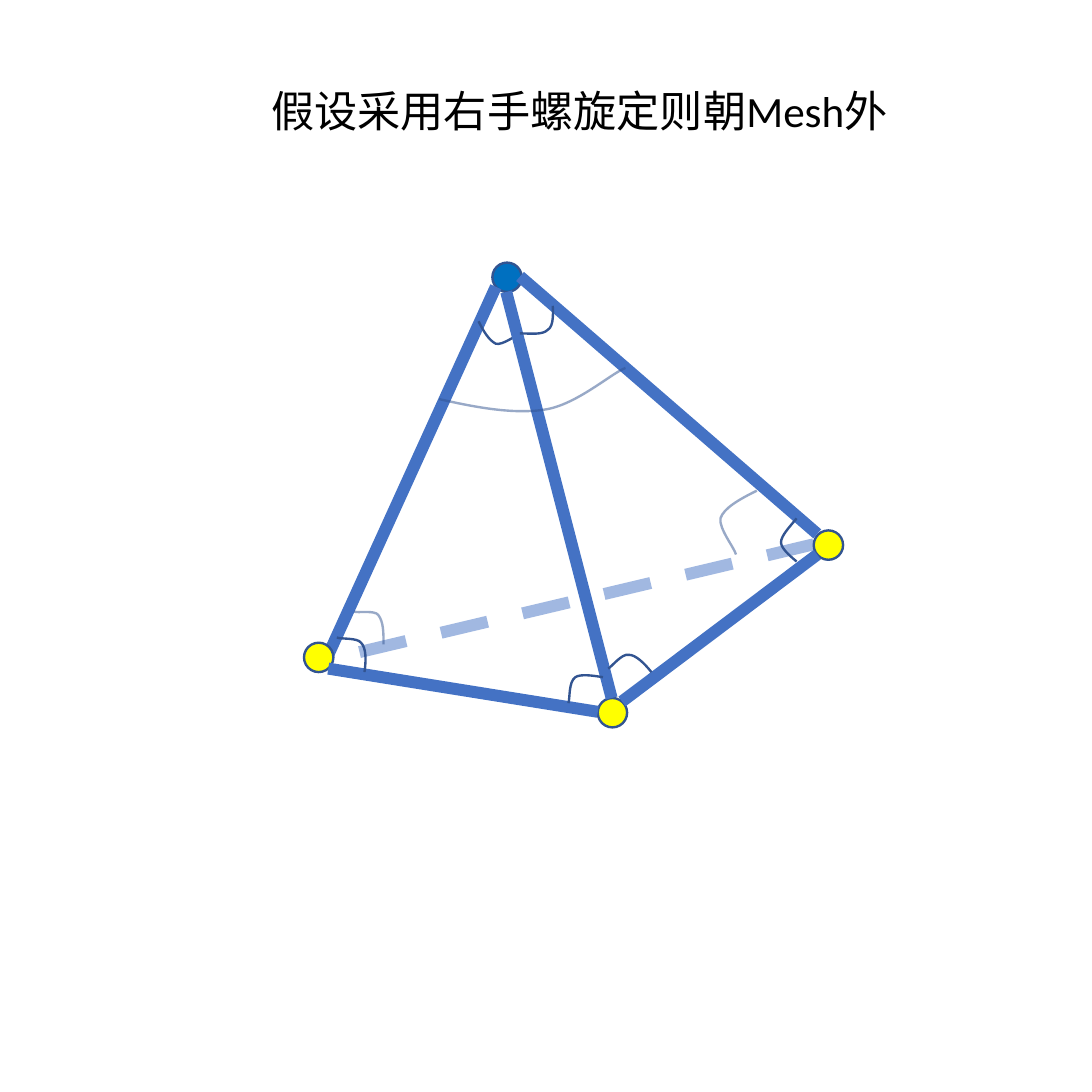
from lxml import etree
from pptx import Presentation
from pptx.dml.color import RGBColor
from pptx.enum.dml import MSO_LINE
from pptx.enum.shapes import MSO_CONNECTOR, MSO_SHAPE
from pptx.enum.text import MSO_AUTO_SIZE
from pptx.oxml.ns import qn
from pptx.util import Inches, Pt

STRAIGHT = MSO_CONNECTOR.STRAIGHT
OVAL = MSO_SHAPE.OVAL
DASH = MSO_LINE.DASH
GROW = MSO_AUTO_SIZE.SHAPE_TO_FIT_TEXT

EDGE_BLUE = RGBColor(0x44, 0x72, 0xC4)
OUTLINE_BLUE = RGBColor(0x32, 0x54, 0x91)
APEX_BLUE = RGBColor(0x00, 0x70, 0xC0)
BASE_YELLOW = RGBColor(0xFF, 0xFF, 0x00)
BLACK = RGBColor(0x00, 0x00, 0x00)

VERTEX_SIZE = 0.17

APEX = (1.35, 0.02)
BASE_VERTICES = [(0.26, 2.22), (1.96, 2.54), (3.21, 1.57)]

HIDDEN_EDGE = ((3.21, 1.65), (0.43, 2.31))
LEFT_EDGE = ((1.37, 0.16), (0.4, 2.29))
FRONT_EDGES = [
    ((1.96, 2.62), (0.4, 2.37)),
    ((3.23, 1.71), (2.1, 2.56)),
    ((3.23, 1.59), (1.51, 0.1)),
    ((1.43, 0.19), (2.04, 2.54)),
]

LEFT_APEX_ANGLE = [
    (1.27, 0.36), (1.3, 0.42), (1.33, 0.47), (1.37, 0.49), (1.41, 0.5), (1.48, 0.44), (1.51, 0.44)]
FRONT_ANGLES = [
    [(0.61, 2.39), (0.62, 2.32), (0.62, 2.25), (0.59, 2.22), (0.57, 2.19), (0.47, 2.2), (0.45, 2.19)],
    [(1.99, 2.42), (1.93, 2.41), (1.86, 2.4), (1.83, 2.42), (1.79, 2.45), (1.8, 2.54), (1.79, 2.57)],
    [(3.11, 1.5), (3.07, 1.55), (3.02, 1.6), (3.02, 1.64), (3.02, 1.68), (3.1, 1.74), (3.11, 1.75)],
    [(2.27, 2.39), (2.23, 2.34), (2.18, 2.29), (2.14, 2.29), (2.1, 2.28), (2.04, 2.36), (2.02, 2.37)],
    [(1.51, 0.43), (1.57, 0.43), (1.64, 0.44), (1.67, 0.41), (1.71, 0.39), (1.7, 0.29), (1.7, 0.27)],
]
HIDDEN_ANGLES = [
    [(0.72, 2.23), (0.72, 2.16), (0.72, 2.1), (0.69, 2.06), (0.67, 2.03), (0.57, 2.05), (0.55, 2.04)],
    [(2.88, 1.34), (2.78, 1.39), (2.69, 1.44), (2.67, 1.5), (2.66, 1.56), (2.75, 1.67), (2.76, 1.71)],
    [(1.04, 0.81), (1.26, 0.86), (1.48, 0.9), (1.66, 0.87), (1.84, 0.84), (2.04, 0.66), (2.12, 0.63)],
]


def style_line(line, color, width, faded=False):
    """Set a line's colour and width, half transparent when faded."""
    line.color.rgb = color
    line.width = Pt(width)
    if faded:
        color_element = line.fill._xPr.find(qn("a:solidFill"))[0]
        etree.SubElement(color_element, qn("a:alpha"), val="50000")


def add_edge(slide, left, top, ends, hidden=False):
    """Draw one edge of the tetrahedron, dashed and faded when hidden."""
    (x1, y1), (x2, y2) = ends
    edge = slide.shapes.add_connector(
        STRAIGHT, Inches(left + x1), Inches(top + y1), Inches(left + x2), Inches(top + y2))
    style_line(edge.line, EDGE_BLUE, 5, hidden)
    if hidden:
        edge.line.dash_style = DASH
    etree.SubElement(edge._element.spPr, qn("a:effectLst"))


def add_vertex(slide, left, top, corner, color):
    """Draw one vertex as an outlined dot."""
    x, y = corner
    vertex = slide.shapes.add_shape(
        OVAL, Inches(left + x), Inches(top + y), Inches(VERTEX_SIZE), Inches(VERTEX_SIZE))
    vertex.shadow.inherit = False
    vertex.fill.solid()
    vertex.fill.fore_color.rgb = color
    style_line(vertex.line, OUTLINE_BLUE, 1)


def bend_segments(outline):
    """Turn every three line segments of an outline into one cubic curve."""
    segments = outline.findall(qn("a:lnTo"))
    for start in range(0, len(segments), 3):
        curve = etree.SubElement(outline, qn("a:cubicBezTo"))
        for segment in segments[start:start + 3]:
            curve.append(segment[0])
            outline.remove(segment)


def add_angle(slide, left, top, controls, hidden=False):
    """Draw an angle mark made of two joined cubic curves."""
    points = [(Inches(left + x), Inches(top + y)) for x, y in controls]
    builder = slide.shapes.build_freeform(*points[0])
    builder.add_line_segments(points[1:], close=False)
    angle = builder.convert_to_shape()
    bend_segments(next(angle._element.iter(qn("a:path"))))
    angle.shadow.inherit = False
    angle.fill.background()
    style_line(angle.line, OUTLINE_BLUE, 1, hidden)


def add_tetrahedron(slide, left, top):
    """Draw the tetrahedron with its vertices, edges and angle marks."""
    add_edge(slide, left, top, HIDDEN_EDGE, hidden=True)
    add_vertex(slide, left, top, APEX, APEX_BLUE)
    add_edge(slide, left, top, LEFT_EDGE)
    add_angle(slide, left, top, LEFT_APEX_ANGLE)
    for corner in BASE_VERTICES:
        add_vertex(slide, left, top, corner, BASE_YELLOW)
    for ends in FRONT_EDGES:
        add_edge(slide, left, top, ends)
    for controls in FRONT_ANGLES:
        add_angle(slide, left, top, controls)
    for controls in HIDDEN_ANGLES:
        add_angle(slide, left, top, controls, hidden=True)


def add_assumption(slide, left, top, width, height):
    """Write the assumption about the normal direction."""
    box = slide.shapes.add_textbox(Inches(left), Inches(top), Inches(width), Inches(height))
    frame = box.text_frame
    frame.word_wrap = True
    frame.auto_size = GROW
    frame.margin_left = frame.margin_right = frame.margin_top = frame.margin_bottom = 0
    paragraph = frame.paragraphs[0]
    paragraph.text = "假设采用右手螺旋定则朝Mesh外"
    paragraph.font.name = "Calibri"
    paragraph.font.size = Pt(18)
    paragraph.font.color.rgb = BLACK


def main():
    """Build the slide and save it."""
    deck = Presentation()
    deck.slide_width = deck.slide_height = Inches(6.32)
    slide = deck.slides.add_slide(deck.slide_layouts[6])
    add_assumption(slide, 1.57, 0.49, 3.6, 0.3)
    add_tetrahedron(slide, 1.5, 1.5)
    deck.save("out.pptx")


if __name__ == "__main__":
    main()
